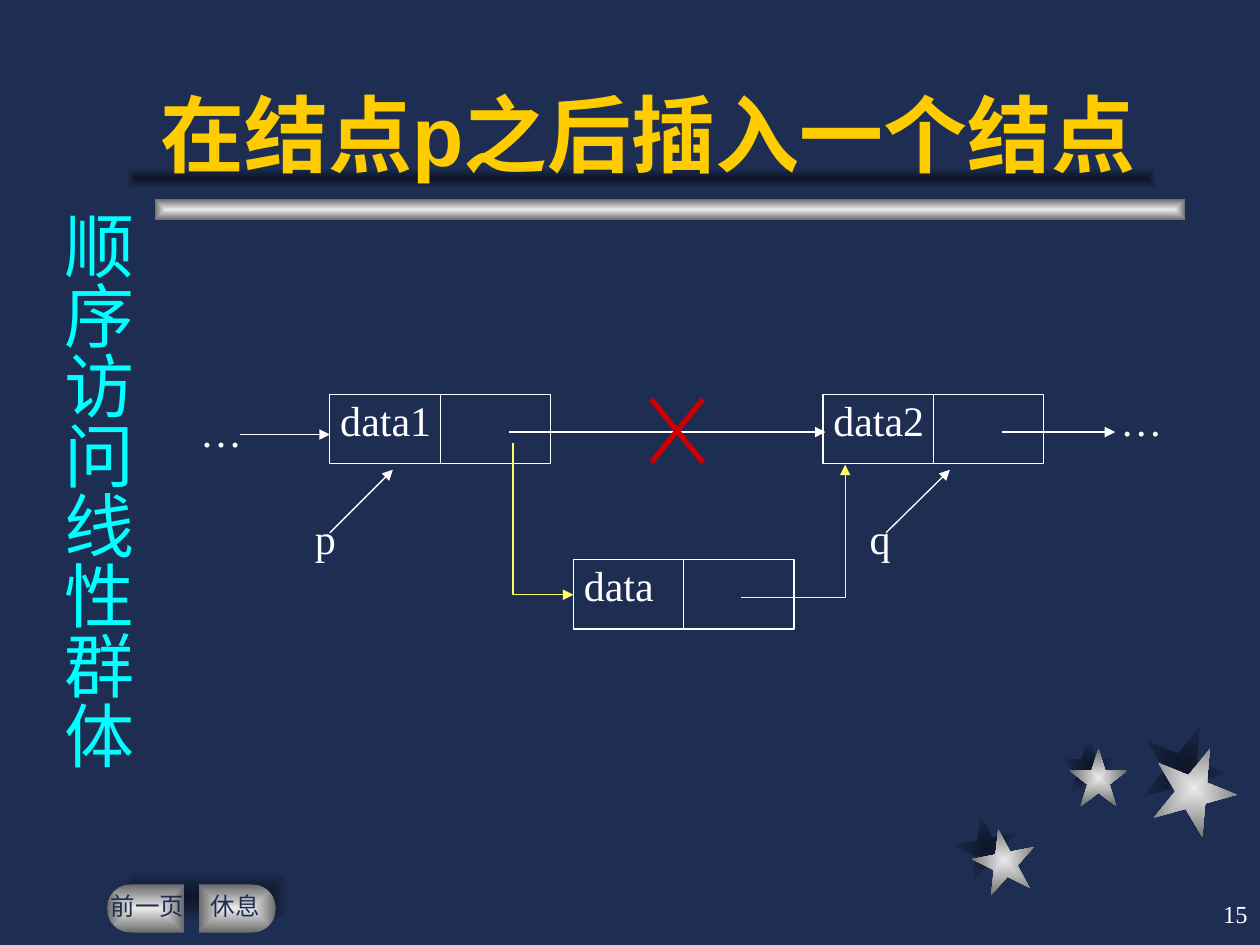
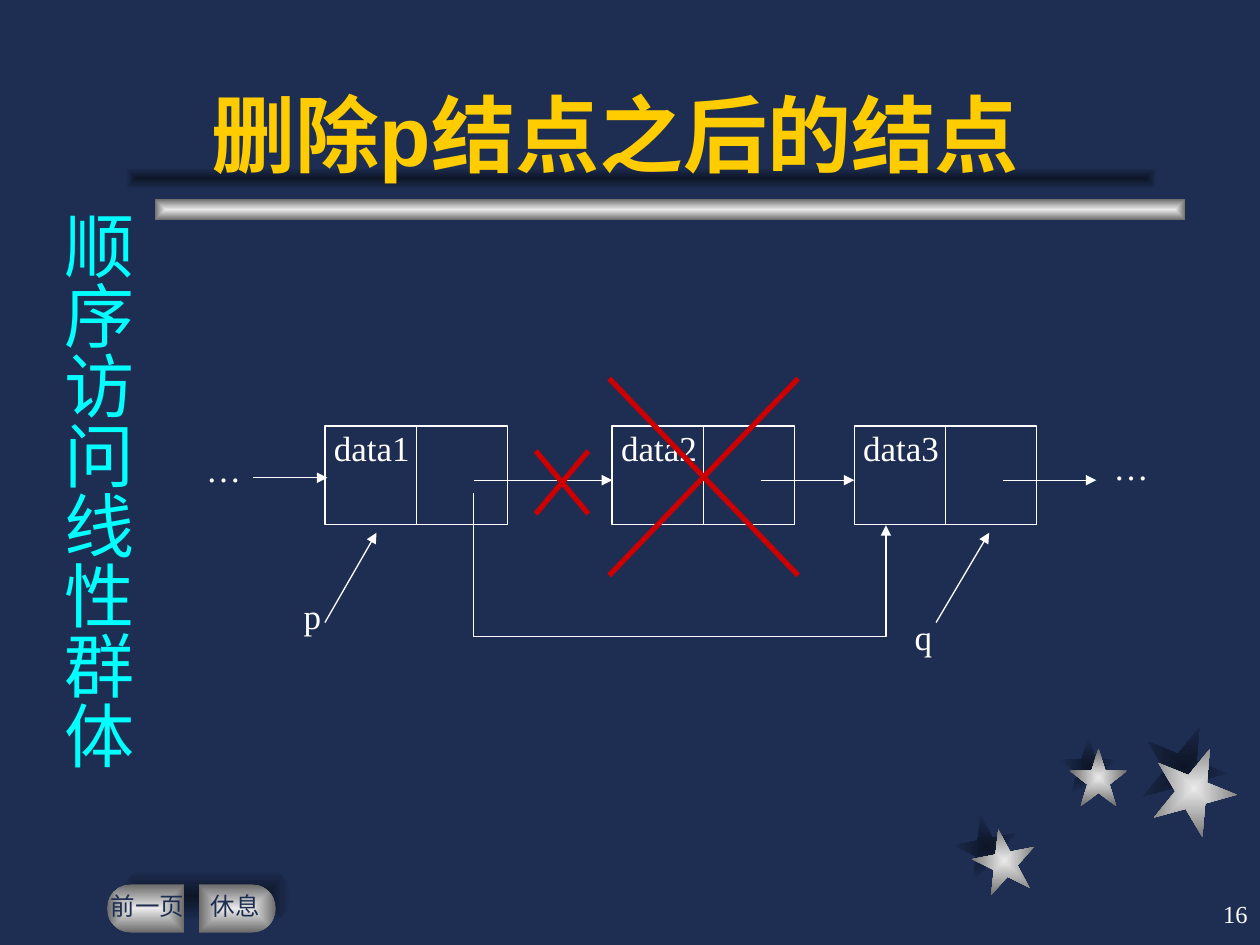
"""Builds two slides on inserting into and deleting from a linked list."""
import math
from dataclasses import dataclass

from lxml import etree
from pptx import Presentation
from pptx.dml.color import RGBColor
from pptx.enum import shapes, text
from pptx.oxml.ns import qn
from pptx.util import Cm, Pt


@dataclass(frozen=True)
class Theme:
    """Colours, fonts and sizes shared by the slides."""
    navy: str = "1E2E53"
    shade: tuple = ("0D1526", "1E2E53")
    silver: tuple = ("EAEAEA", "6B6B6B")
    gold: str = "FFCC00"
    cyan: str = "00FFFF"
    white: str = "FFFFFF"
    yellow: str = "FFFF66"
    red: str = "CC0000"
    serif: str = "Times New Roman"
    sans: str = "Arial"
    chinese: str = "Noto Sans CJK SC"
    title_size: int = 48
    topic_size: int = 40
    small_size: int = 14
    thin: float = 0.75
    thick: float = 3


@dataclass(frozen=True)
class ListStyle:
    """Node geometry in cm and the type size of one list diagram."""
    width: float
    height: float
    size: int
    indent: float
    link_start: float
    link_drop: float


THEME = Theme()
STARS = [(19.61, 16.71, 1.27, 349), (21.56, 15.09, 1.17, 0), (23.22, 15.04, 1.7, 22)]
STAR_SHADES = [(19.25, 16.43, 1.27, 349), (21.36, 14.86, 1.17, 0), (23.01, 14.61, 1.7, 22)]
INSERT_STYLE = ListStyle(4.45, 1.4, 24, 0.21, 3.61, 0.76)
DELETE_STYLE = ListStyle(3.68, 1.98, 20, 0.18, 3.0, 1.09)


def rgb(code):
    """Return the colour for a hex code."""
    return RGBColor.from_string(code)


def write(frame, words, size, color, font=THEME.serif, bold=False,
          align=text.PP_ALIGN.LEFT, anchor=text.MSO_ANCHOR.TOP, indent=0):
    """Put one styled paragraph into a text frame."""
    frame.word_wrap = True
    frame.vertical_anchor = anchor
    frame.margin_left = Cm(indent)
    frame.margin_top = frame.margin_right = frame.margin_bottom = 0
    paragraph = frame.paragraphs[0]
    paragraph.text = words
    paragraph.alignment = align
    paragraph.font.size = Pt(size)
    paragraph.font.bold = bold
    paragraph.font.color.rgb = rgb(color)
    paragraph.font.name = font
    properties = paragraph._p.pPr.find(qn("a:defRPr"))
    etree.SubElement(properties, qn("a:ea"), typeface=THEME.chinese)


def add_label(slide, words, left, top, width, height, size, color, **style):
    """Add a text box and return its frame."""
    frame = slide.shapes.add_textbox(Cm(left), Cm(top), Cm(width), Cm(height)).text_frame
    write(frame, words, size, color, **style)
    return frame


def glow(shape, colors):
    """Fill a shape with a gradient from its centre to its edges."""
    shape.shadow.inherit = False
    shape.line.fill.background()
    shape.fill.gradient()
    for stop, color in zip(shape.fill.gradient_stops, colors):
        stop.color.rgb = rgb(color)
    gradient = shape._element.spPr.find(qn("a:gradFill"))
    gradient.remove(gradient.find(qn("a:lin")))
    centre = etree.SubElement(gradient, qn("a:path"), path="rect")
    etree.SubElement(centre, qn("a:fillToRect"), l="50000", t="50000", r="50000", b="50000")


def add_ornament(slide, kind, left, top, width, height, colors, rotation=0):
    """Add a preset shape with a centred gradient."""
    ornament = slide.shapes.add_shape(kind, Cm(left), Cm(top), Cm(width), Cm(height))
    ornament.rotation = rotation
    glow(ornament, colors)
    return ornament


def trace(slide, points, close):
    """Build a freeform through points given in cm."""
    (start_x, start_y), *rest = [(Cm(x), Cm(y)) for x, y in points]
    builder = slide.shapes.build_freeform(start_x, start_y)
    builder.add_line_segments(rest, close=close)
    return builder.convert_to_shape()


def add_tab(slide, flat_x, round_x, words, words_x):
    """Add a navigation tab with one flat and one round end."""
    top, radius = 17.83, 0.485
    side = math.copysign(1, round_x - flat_x)
    centre_x, centre_y = round_x - side * radius, top + radius
    angles = [math.radians(degrees) for degrees in range(-90, 91, 15)]
    arc = [(centre_x + side * radius * math.cos(a), centre_y + radius * math.sin(a))
           for a in angles]
    outline = [(flat_x, top), *arc, (flat_x, top + 2 * radius)]
    glow(trace(slide, outline, close=True), THEME.silver)
    add_label(slide, words, words_x, 17.96, 1.6, 0.58, THEME.small_size, THEME.navy)


def style_line(line, color, weight, arrow):
    """Set colour, weight and arrowhead of a line."""
    line.color.rgb = rgb(color)
    line.width = Pt(weight)
    if arrow:
        etree.SubElement(line._get_or_add_ln(), qn("a:tailEnd"), type="triangle")


def add_line(slide, start, end, arrow=True, color=THEME.white, weight=THEME.thin):
    """Draw a straight line or arrow."""
    ends = [Cm(value) for value in (*start, *end)]
    connector = slide.shapes.add_connector(shapes.MSO_CONNECTOR.STRAIGHT, *ends)
    style_line(connector.line, color, weight, arrow)
    etree.SubElement(connector._element.spPr, qn("a:effectLst"))


def add_bent_arrow(slide, points, color):
    """Draw an arrow with corners."""
    bent = trace(slide, points, close=False)
    bent.shadow.inherit = False
    bent.fill.background()
    style_line(bent.line, color, THEME.thin, True)


def add_cross(slide, left, top, right, bottom):
    """Strike something out with two red strokes."""
    for start_x, end_x in ((left, right), (right, left)):
        add_line(slide, (start_x, top), (end_x, bottom), False, THEME.red, THEME.thick)


def add_node(slide, style, words, left, top, link_to=None):
    """Draw a list node of data and link fields, with its link arrow."""
    box = slide.shapes.add_shape(shapes.MSO_SHAPE.RECTANGLE, Cm(left), Cm(top),
                                 Cm(style.width), Cm(style.height))
    box.shadow.inherit = False
    box.fill.background()
    style_line(box.line, THEME.white, THEME.thin, False)
    write(box.text_frame, words, style.size, THEME.white, indent=style.indent)
    middle = left + style.width / 2
    add_line(slide, (middle, top), (middle, top + style.height), arrow=False)
    if link_to:
        link_y = top + style.link_drop
        add_line(slide, (left + style.link_start, link_y), (link_to, link_y))


def add_pointer(slide, style, name, name_at, start, end):
    """Add a pointer name and the arrow to its node."""
    add_label(slide, name, *name_at, 1, 1.12, style.size, THEME.white)
    add_line(slide, start, end)


def add_ellipsis(slide, style, left, top, width):
    """Mark that the list goes on."""
    add_label(slide, "…", left, top, width, 1.1, style.size, THEME.white,
              align=text.PP_ALIGN.CENTER)


def start_slide(deck, title, title_left, title_width, number):
    """Add a slide with the shared decoration, title, topic and number."""
    slide = deck.slides.add_slide(deck.slide_layouts[6])
    slide.background.fill.solid()
    slide.background.fill.fore_color.rgb = rgb(THEME.navy)
    preset = shapes.MSO_SHAPE
    for stars, colors in ((STAR_SHADES, THEME.shade), (STARS, THEME.silver)):
        for left, top, size, rotation in stars:
            add_ornament(slide, preset.STAR_5_POINT, left, top, size, size, colors, rotation)
    add_ornament(slide, preset.RECTANGLE, 3.12, 4.01, 20.78, 0.43, THEME.silver)
    add_ornament(slide, preset.RECTANGLE, 2.54, 3.38, 20.78, 0.43, THEME.shade)
    tab_shade = add_ornament(slide, preset.ROUNDED_RECTANGLE, 2.46, 17.53, 3.4, 1.07, THEME.shade)
    tab_shade.adjustments[0] = 0.5
    add_tab(slide, 3.71, 2.16, "前一页", 2.23)
    add_tab(slide, 4.01, 5.56, "休息", 4.25)
    add_label(slide, title, title_left, 0.64, title_width, 3.05, THEME.title_size, THEME.gold,
              font=THEME.sans, bold=True, anchor=text.MSO_ANCHOR.BOTTOM)
    topic = add_label(slide, "顺序访问线性群体", 0.76, 4.01, 2.18, 12.27,
                      THEME.topic_size, THEME.cyan, font=THEME.chinese)
    topic._txBody.bodyPr.set("vert", "eaVert")
    topic.margin_left = topic.margin_right = Cm(0.13)
    topic.margin_top = topic.margin_bottom = Cm(0.25)
    add_label(slide, str(number), 20.12, 17.78, 5.03, 1.27, THEME.small_size, THEME.white,
              align=text.PP_ALIGN.RIGHT, anchor=text.MSO_ANCHOR.MIDDLE)
    return slide


def build_insertion(deck):
    """Show a node inserted after p."""
    slide = start_slide(deck, "在结点p之后插入一个结点", 3.23, 20.66, 15)
    style = INSERT_STYLE
    add_node(slide, style, "data1", 6.65, 7.95, link_to=16.64)
    add_node(slide, style, "data2", 16.59, 7.95, link_to=22.48)
    add_node(slide, style, "data", 11.56, 11.28)
    add_ellipsis(slide, style, 3.61, 8.18, 1.7)
    add_ellipsis(slide, style, 21.79, 7.95, 2.44)
    add_line(slide, (4.83, 8.76), (6.65, 8.76))
    add_pointer(slide, style, "p", (6.35, 10.34), (6.65, 10.74), (7.92, 9.47))
    add_pointer(slide, style, "q", (17.53, 10.34), (17.86, 10.74), (19.15, 9.47))
    add_bent_arrow(slide, [(14.94, 12.04), (17.04, 12.04), (17.04, 9.37)], THEME.yellow)
    add_bent_arrow(slide, [(10.34, 8.94), (10.34, 11.99), (11.56, 11.99)], THEME.yellow)
    add_cross(slide, 13.13, 8.05, 14.17, 9.32)


def build_deletion(deck):
    """Show the node after p deleted."""
    slide = start_slide(deck, "删除p结点之后的结点", 4.27, 19, 16)
    style = DELETE_STYLE
    add_node(slide, style, "data1", 6.55, 8.59, link_to=12.34)
    add_node(slide, style, "data2", 12.34, 8.59, link_to=17.22)
    add_node(slide, style, "data3", 17.22, 8.59, link_to=22.1)
    add_ellipsis(slide, style, 3.81, 9.02, 1.4)
    add_ellipsis(slide, style, 21.79, 8.99, 2.03)
    add_line(slide, (5.11, 9.63), (6.6, 9.63))
    add_pointer(slide, style, "p", (6.12, 11.99), (6.55, 12.55), (7.59, 10.74))
    add_pointer(slide, style, "q", (18.44, 12.4), (18.87, 12.55), (19.94, 10.74))
    add_bent_arrow(slide, [(9.55, 9.93), (9.55, 12.83), (17.86, 12.83), (17.86, 10.59)],
                   THEME.white)
    add_cross(slide, 10.8, 9.09, 11.86, 10.36)
    add_cross(slide, 12.28, 7.63, 16.09, 11.6)


def main():
    """Build and save the deck."""
    deck = Presentation()
    deck.slide_width, deck.slide_height = Cm(25.4), Cm(19.05)
    build_insertion(deck)
    build_deletion(deck)
    deck.save("out.pptx")


if __name__ == "__main__":
    main()
